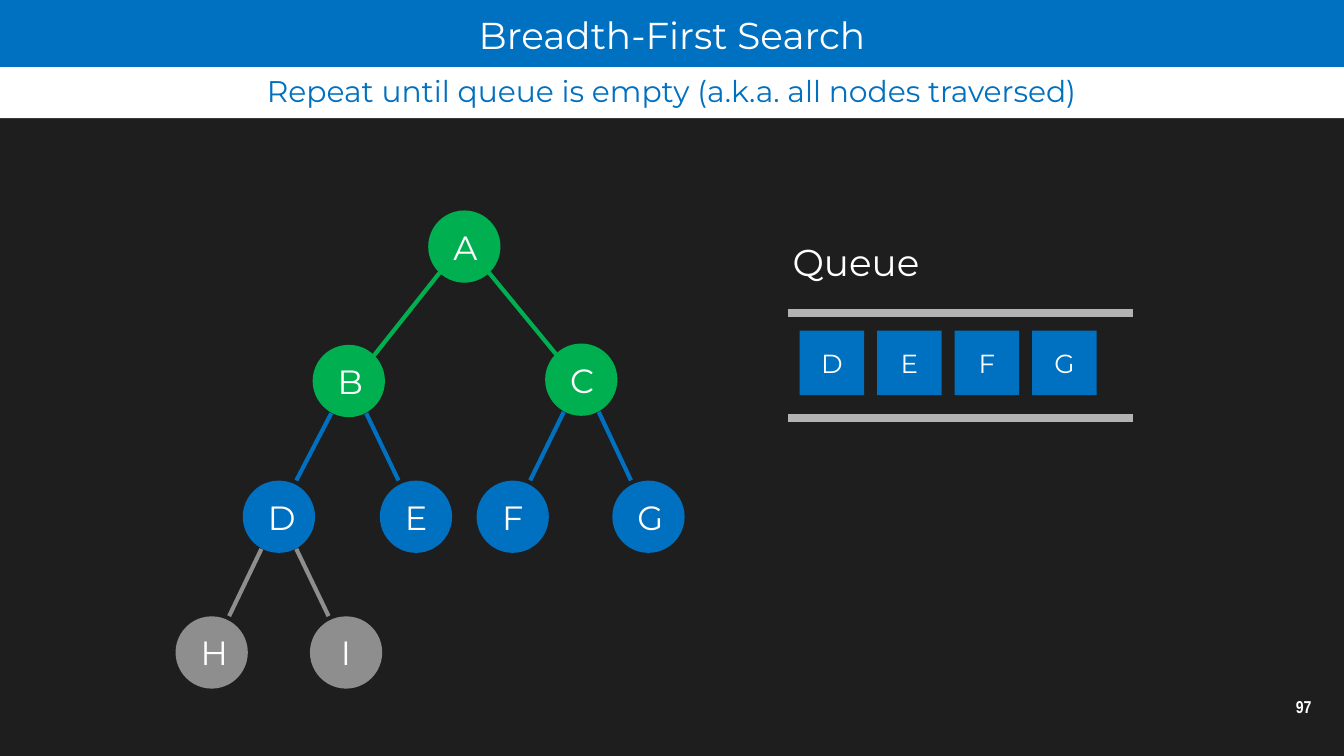
import pptx
import pptx.util
import pptx.dml.color
import pptx.enum.shapes
import pptx.enum.text
import pptx.oxml

Inches, Pt = pptx.util.Inches, pptx.util.Pt
SHAPES = pptx.enum.shapes.MSO_SHAPE
ANCHORS = pptx.enum.text.MSO_ANCHOR

GREEN, BLUE, GRAY = "00B050", "0070C0", "8E8E8E"
WHITE, RAIL, BACKGROUND = "FFFFFF", "B3B3B3", "1E1E1E"

# Node: left, top, colour
NODES = {
    "A": (1.88, 0, GREEN),
    "B": (1.02, 1, GREEN), "C": (2.75, 0.99, GREEN),
    "D": (0.5, 2.01, BLUE), "E": (1.52, 2.01, BLUE),
    "F": (2.24, 2.01, BLUE), "G": (3.25, 2.01, BLUE),
    "H": (0, 3.02, GRAY), "I": (1, 3.02, GRAY),
}
CHILDREN = {"A": "BC", "B": "DE", "C": "FG", "D": "HI"}
NODE_SIZE = 0.51


def rgb(color):
    return pptx.dml.color.RGBColor.from_string(color)


def write(holder, text, size, color, anchor, font="Montserrat", margin=None):
    frame = holder.text_frame
    frame.word_wrap = True
    frame.vertical_anchor = anchor
    if margin is not None:
        frame.margin_left = frame.margin_right = Inches(margin)
        frame.margin_top = frame.margin_bottom = Inches(margin)
    frame.text = text
    paragraph = frame.paragraphs[0]
    paragraph.alignment = pptx.enum.text.PP_ALIGN.CENTER
    letters = paragraph.runs[0].font
    letters.name, letters.size = font, Pt(size)
    letters.color.rgb = rgb(color)
    return paragraph


def add_box(slide, kind, left, top, width, height, fill, outline=None):
    box = slide.shapes.add_shape(
        kind, Inches(left), Inches(top), Inches(width), Inches(height))
    box.shadow.inherit = False
    box.fill.solid()
    box.fill.fore_color.rgb = rgb(fill)
    if outline:
        box.line.color.rgb = rgb(fill)
        box.line.width = Pt(outline)
    else:
        box.line.fill.background()
    return box


def add_text(slide, left, top, width, height):
    return slide.shapes.add_textbox(
        Inches(left), Inches(top), Inches(width), Inches(height))


def add_line(slide, x1, y1, x2, y2, color, width):
    line = slide.shapes.add_connector(
        pptx.enum.shapes.MSO_CONNECTOR.STRAIGHT,
        Inches(x1), Inches(y1), Inches(x2), Inches(y2))
    line.line.color.rgb = rgb(color)
    line.line.width = Pt(width)
    properties = line._element.spPr
    properties.append(pptx.oxml.parse_xml(
        '<a:effectLst xmlns:a='
        '"http://schemas.openxmlformats.org/drawingml/2006/main"/>'))


def add_header(slide, left, top, width):
    # Title band
    title = add_box(slide, SHAPES.RECTANGLE, left, top - 0.01, width, 0.51, BLUE)
    write(title, "Breadth-First Search", 20, WHITE, ANCHORS.TOP, margin=0.1)
    # Subtitle band
    subtitle = add_box(slide, SHAPES.RECTANGLE, left, top + 0.5, width, 0.38, WHITE)
    paragraph = write(
        subtitle, "Repeat until queue is empty (a.k.a. all nodes traversed)",
        16, BLUE, ANCHORS.TOP, margin=0.1)
    paragraph.line_spacing = Pt(15)


def add_tree(slide, left, top):
    # Nodes
    for name, (x, y, color) in NODES.items():
        node = add_box(slide, SHAPES.OVAL, left + x, top + y,
                       NODE_SIZE, NODE_SIZE, color, outline=2)
        write(node, name, 18, WHITE, ANCHORS.MIDDLE)
    # Edges stop near each circle's rim and take the child's colour
    for parent, children in CHILDREN.items():
        reach, drop, rise = (0.18, 0.19, 0.18) if parent == "A" else (0.13, 0.24, 0.27)
        parent_x, parent_y, _ = NODES[parent]
        for side, child in zip((-1, 1), children):
            child_x, child_y, color = NODES[child]
            center_x, center_y = left + NODE_SIZE / 2, top + NODE_SIZE / 2
            add_line(slide,
                     center_x + parent_x + side * reach, center_y + parent_y + drop,
                     center_x + child_x - side * reach, center_y + child_y - rise,
                     color, 2.25)


def add_queue(slide, left, top, width):
    heading = add_text(slide, left - 0.23, top - 0.65, 1.48, 0.51)
    write(heading, "Queue", 20, WHITE, ANCHORS.TOP, margin=0.1)
    # Rails
    for y in (top, top + 0.78):
        add_line(slide, left, y, left + width, y, RAIL, 4.5)
    # Waiting nodes, evenly spread
    pitch = 1.73 / 3
    for place, name in enumerate("DEFG"):
        item = add_box(slide, SHAPES.RECTANGLE, left + 0.09 + place * pitch,
                       top + 0.13, 0.48, 0.48, BLUE)
        write(item, name, 14, WHITE, ANCHORS.MIDDLE)


def add_page_number(slide, left, top):
    number = add_text(slide, left, top, 0.6, 0.34)
    paragraph = write(number, "97", 9.2, WHITE, ANCHORS.MIDDLE,
                      font="Arial Narrow", margin=0.1)
    paragraph.line_spacing = 0.9
    paragraph.runs[0].font.bold = True


def main():
    deck = pptx.Presentation()
    # Widescreen, 16:9
    deck.slide_width = Inches(10)
    deck.slide_height = deck.slide_width * 9 // 16
    slide = deck.slides.add_slide(deck.slide_layouts[6])
    slide.background.fill.solid()
    slide.background.fill.fore_color.rgb = rgb(BACKGROUND)
    add_page_number(slide, 9.4, 5.1)
    add_tree(slide, 1.32, 1.58)
    add_header(slide, 0, 0, 10)
    add_queue(slide, 5.86, 2.33, 2.57)
    deck.save("out.pptx")


if __name__ == "__main__":
    main()
